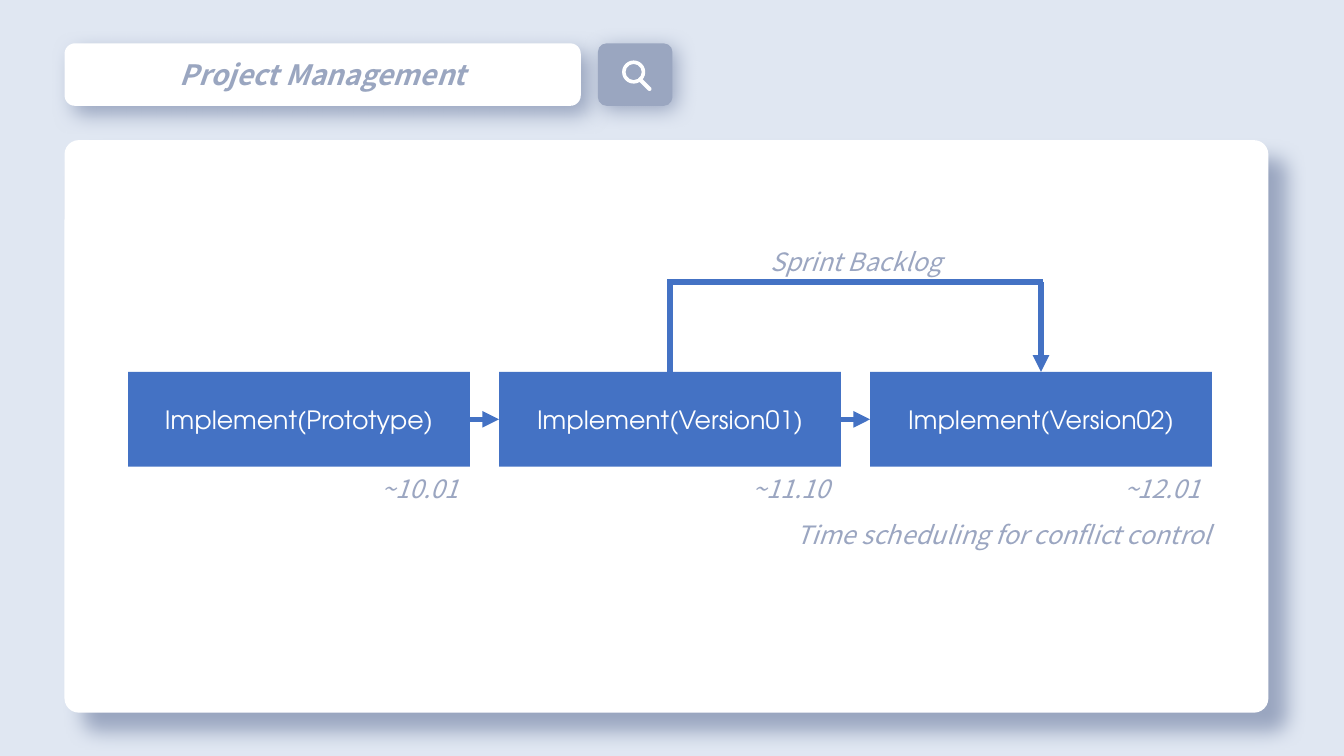
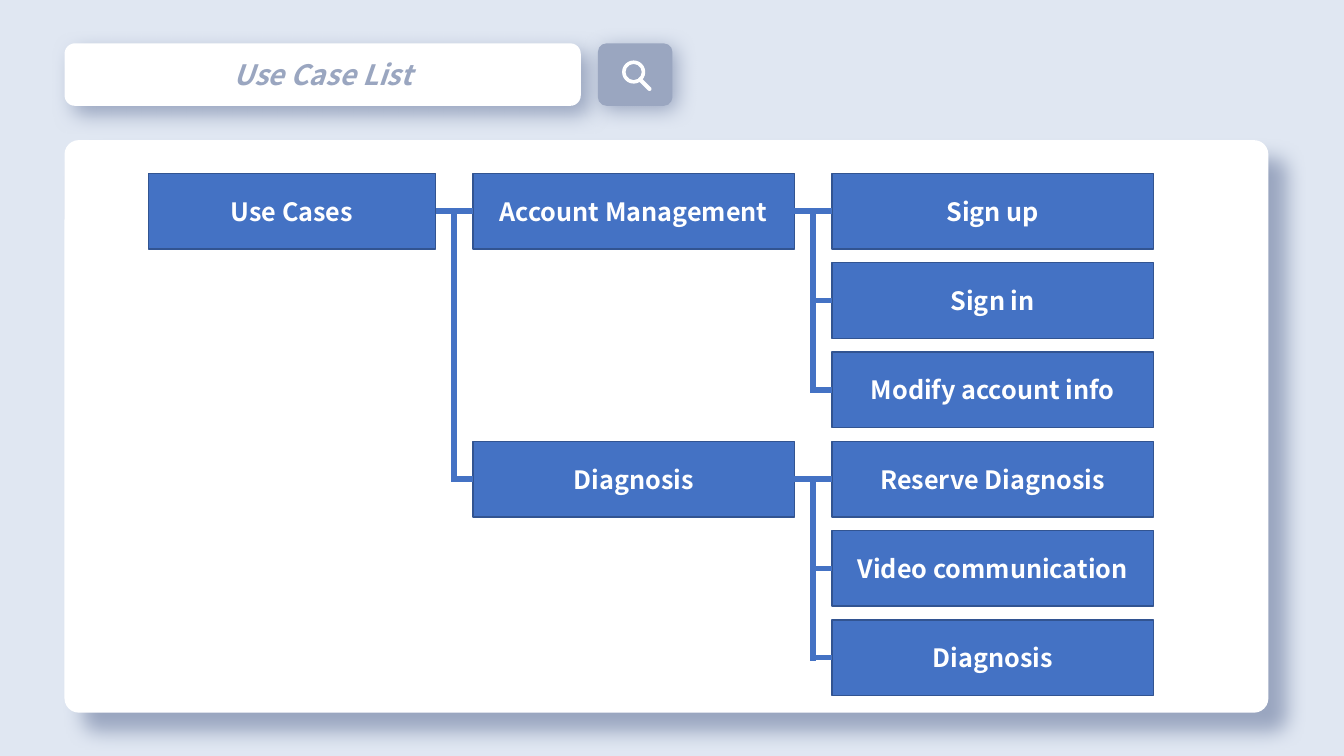
from itertools import pairwise
from lxml.etree import SubElement
from pptx import Presentation
from pptx.dml.color import RGBColor
from pptx.enum.shapes import MSO_CONNECTOR, MSO_SHAPE
from pptx.enum.text import MSO_ANCHOR, PP_ALIGN
from pptx.oxml.ns import qn
from pptx.util import Inches, Pt

PALE = RGBColor(0xE0, 0xE7, 0xF2)
WHITE = RGBColor(0xFF, 0xFF, 0xFF)
GREY = RGBColor(0x9A, 0xA6, 0xC0)
NOTE = RGBColor(0x9B, 0xA6, 0xC1)
BLUE = RGBColor(0x44, 0x72, 0xC4)
NAVY = RGBColor(0x32, 0x54, 0x91)

SANS = "Noto Sans CJK KR"
TITLE = {"name": SANS, "size": Pt(20), "bold": True, "italic": True}
LABEL = {"name": SANS, "size": Pt(18), "italic": True}
STEP = {"name": "TeX Gyre Adventor", "size": Pt(18)}
CASE = {"name": SANS, "size": Pt(18), "bold": True}

HEAD = (0.64, 0.43, 5.12, 0.62)
FIND = (5.93, 0.43, 0.74, 0.62)
PANEL = (0.64, 1.39, 11.94, 5.68)


def write(shape, text, style, color):
    run = shape.text_frame.paragraphs[0].add_run()
    run.text = text
    for key, value in style.items():
        setattr(run.font, key, value)
    run.font.color.rgb = color


def add_block(slide, kind, box, fill, edge=None, adj=None):
    shape = slide.shapes.add_shape(kind, *map(Inches, box))
    shape.shadow.inherit = False
    shape.fill.solid()
    shape.fill.fore_color.rgb = fill
    if edge is None:
        shape.line.fill.background()
    else:
        shape.line.color.rgb = edge
        shape.line.width = Pt(1)
    if adj is not None:
        shape.adjustments[0] = adj
    return shape


def add_shade(shape, dist):
    effect = shape._element.spPr.find(qn("a:effectLst"))
    shade = SubElement(effect, qn("a:outerShdw"), blurRad=str(Pt(15)),
                       dist=str(Pt(dist)), dir=str(45 * 60000),
                       algn="tl", rotWithShape="0")
    SubElement(shade, qn("a:srgbClr"), val=str(GREY))


def fill_text(shape, text, style, color):
    frame = shape.text_frame
    frame.word_wrap = True
    frame.vertical_anchor = MSO_ANCHOR.MIDDLE
    frame.paragraphs[0].alignment = PP_ALIGN.CENTER
    write(shape, text, style, color)


def add_label(slide, box, text):
    label = slide.shapes.add_textbox(*map(Inches, box))
    label.text_frame.word_wrap = True
    write(label, text, LABEL, NOTE)


def add_line(slide, start, end, arrow=False, tail=None, head=None):
    line = slide.shapes.add_connector(
        MSO_CONNECTOR.STRAIGHT, *map(Inches, (*start, *end)))
    if tail:
        line.begin_connect(*tail)
    if head:
        line.end_connect(*head)
    line.line.color.rgb = BLUE
    line.line.width = Pt(4)
    prop = line._element.spPr
    if arrow:
        SubElement(prop.find(qn("a:ln")), qn("a:tailEnd"), type="triangle")
    SubElement(prop, qn("a:effectLst"))


def add_title(slide, box, text):
    bar = add_block(slide, MSO_SHAPE.ROUNDED_RECTANGLE, box, WHITE)
    add_shade(bar, 8)
    fill_text(bar, text, TITLE, GREY)


def add_search(slide, box):
    left, top = box[:2]
    rounded = MSO_SHAPE.ROUNDED_RECTANGLE
    add_shade(add_block(slide, rounded, box, GREY, adj=0.14), 4)
    lens = (left + 0.24, top + 0.17, 0.23, 0.23)
    add_block(slide, MSO_SHAPE.DONUT, lens, WHITE, adj=0.15)
    grip = (left + 0.45, top + 0.33, 0.04, 0.16)
    add_block(slide, rounded, grip, WHITE, adj=0.5).rotation = 315


def add_page(deck, title):
    slide = deck.slides.add_slide(deck.slide_layouts[6])
    slide.background.fill.solid()
    slide.background.fill.fore_color.rgb = PALE
    add_title(slide, HEAD, title)
    add_search(slide, FIND)
    panel = add_block(slide, MSO_SHAPE.ROUNDED_RECTANGLE, PANEL, WHITE,
                      adj=0.025)
    add_shade(panel, 19)
    return slide


def add_plan(slide, box, steps):
    left, top = box[0] + 0.63, box[1] + 2.3
    wide, high, pitch = 3.39, 0.94, 3.68
    roof = top - 0.89
    blocks, mids = [], []
    for index, (name, date) in enumerate(steps):
        x = left + index * pitch
        block = add_block(slide, MSO_SHAPE.RECTANGLE, (x, top, wide, high),
                          BLUE)
        fill_text(block, name, STEP, WHITE)
        add_label(slide, (x + 2.42, top + high + 0.02, 1.94, 0.4), date)
        blocks.append(block)
        mids.append(x + wide / 2)
    y = top + high / 2
    for index, (one, two) in enumerate(pairwise(blocks)):
        x = left + index * pitch
        add_line(slide, (x + wide, y), (x + pitch, y), True,
                 (one, 3), (two, 1))
    start, end = mids[1:]
    add_line(slide, (start, top), (start, roof - 0.03), tail=(blocks[1], 0))
    add_line(slide, (start, roof), (end + 0.02, roof))
    add_line(slide, (end, roof), (end, top), True, head=(blocks[2], 0))
    add_label(slide, (left + 6.27, roof - 0.41, 1.94, 0.4), "Sprint Backlog")
    add_label(slide, (left + 6.53, top + 1.41, 4.36, 0.4),
              "Time scheduling for conflict control")


def add_tree(slide, box, root, groups):
    left, top = box[0] + 0.83, box[1] + 0.33
    high, pitch, gap = 0.75, 0.886, 0.37
    wides = (2.85, 3.19, 3.19)
    cols = [left + sum(wides[:i]) + i * gap for i in range(3)]

    def add_case(col, row, text):
        y = top + row * pitch
        case = add_block(slide, MSO_SHAPE.RECTANGLE,
                         (cols[col], y, wides[col], high), BLUE, NAVY)
        fill_text(case, text, CASE, WHITE)
        return case, y + high / 2

    def join(col, parent, kids):
        x = cols[col]
        trunk = x - gap / 2
        first, start = kids[0]
        add_line(slide, (x - gap, start), (x, start),
                 tail=(parent, 3), head=(first, 1))
        for kid, y in kids[1:]:
            add_line(slide, (trunk, y), (x, y), head=(kid, 1))
        add_line(slide, (trunk, start), (trunk, kids[-1][1] + 0.03))

    base, _ = add_case(0, 0, root)
    heads, row = [], 0
    for name, names in groups:
        head = add_case(1, row, name)
        kids = [add_case(2, row + i, kid) for i, kid in enumerate(names)]
        join(2, head[0], kids)
        heads.append(head)
        row += len(names)
    join(1, base, heads)


def main():
    deck = Presentation()
    deck.slide_width, deck.slide_height = Inches(13.33), Inches(7.5)
    add_plan(add_page(deck, "Project Management"), PANEL, [
        ("Implement(Prototype)", "~10.01"),
        ("Implement(Version01)", "~11.10"),
        ("Implement(Version02)", "~12.01"),
    ])
    add_tree(add_page(deck, "Use Case List"), PANEL, "Use Cases", [
        ("Account Management", ["Sign up", "Sign in", "Modify account info"]),
        ("Diagnosis", ["Reserve Diagnosis", "Video communication",
                       "Diagnosis"]),
    ])
    deck.save("out.pptx")


if __name__ == "__main__":
    main()
